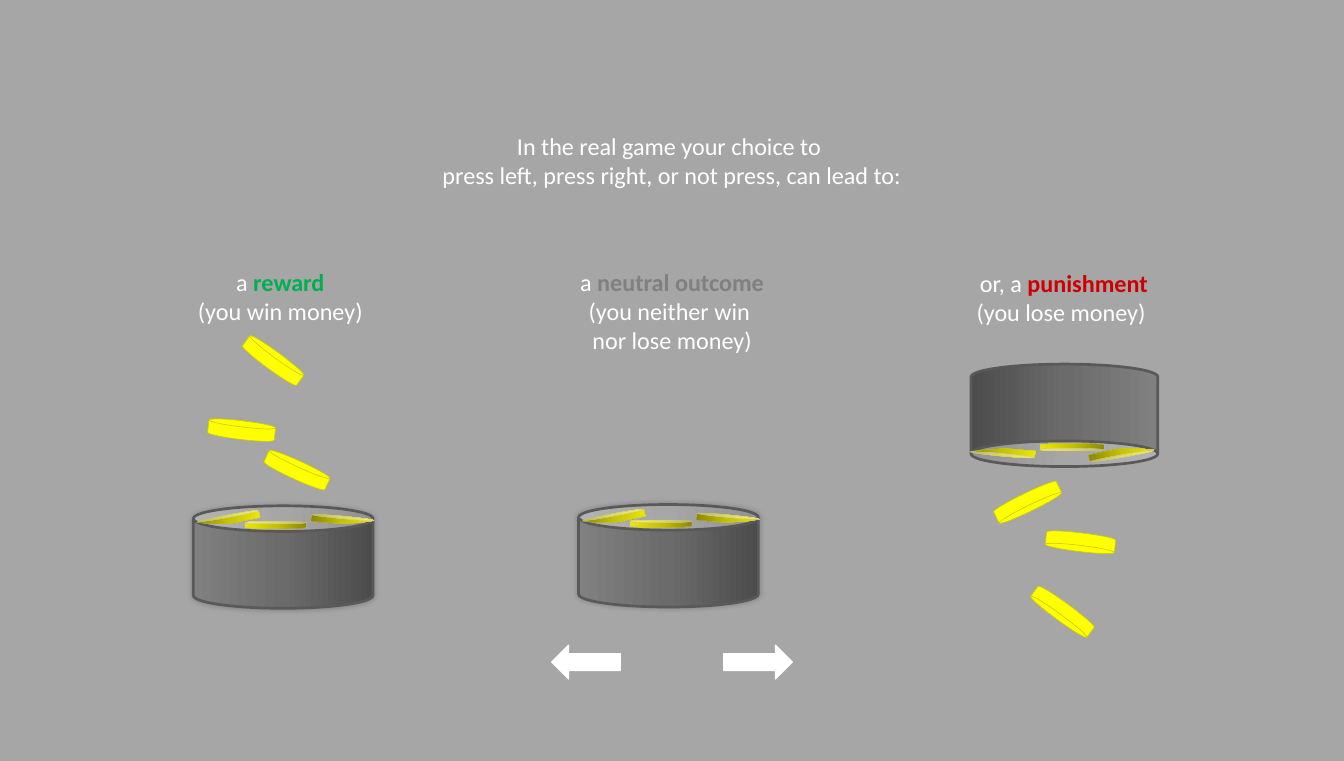
from math import cos, pi, radians, sin
from lxml.etree import SubElement as sub
from pptx import Presentation
from pptx.dml.color import RGBColor as RGB
from pptx.enum.shapes import MSO_SHAPE as Kind
from pptx.enum.text import MSO_ANCHOR as Anchor, PP_ALIGN as Align
from pptx.oxml.ns import qn
from pptx.util import Inches, Pt

theme = {
    "font": "Calibri", "size": 27,
    "back": "A6A6A6", "text": "FFFFFF", "arrow": "FFFFFF",
    "win": "00B050", "even": "808080", "loss": "CC0000",
    "bowl": ["4C4C4C", "6B6B6B", "808080"], "rim": "595959",
    "side": ["8B8800", "C6C200", "EBE600"],
    "lid": ["B9B866", "DDDA66", "F3F066"], "edge": "C4BD97",
    "coin": "FFFF00", "ring": "CCCC00",
}

deck = Presentation()
deck.slide_width, deck.slide_height = Inches(20.86), Inches(11.81)
slide = deck.slides.add_slide(deck.slide_layouts[6])
slide.background.fill.solid()
slide.background.fill.fore_color.rgb = RGB.from_string(theme["back"])
shapes = slide.shapes


def write(place, lines, anchor=Anchor.TOP):
    frame = shapes.add_textbox(*map(Inches, place)).text_frame
    frame.word_wrap = True
    frame.vertical_anchor = anchor
    frame.margin_left = frame.margin_right = Inches(0.19)
    frame.margin_top = frame.margin_bottom = Inches(0.09)
    for row, line in enumerate(lines):
        para = frame.add_paragraph() if row else frame.paragraphs[0]
        para.alignment = Align.CENTER
        para.font.name = theme["font"]
        para.font.size = Pt(theme["size"])
        para.font.color.rgb = RGB.from_string(theme["text"])
        for text, color in line:
            run = para.add_run()
            run.text = text
            if color:
                run.font.bold = True
                run.font.color.rgb = RGB.from_string(theme[color])


def paint(shape, fill, line, width, angle=0):
    shape.shadow.inherit = False
    shape.line.color.rgb = RGB.from_string(theme[line])
    shape.line.width = Pt(width)
    if isinstance(theme[fill], str):
        shape.fill.solid()
        shape.fill.fore_color.rgb = RGB.from_string(theme[fill])
        return
    shape.fill.gradient()
    shape.fill.gradient_angle = angle
    stops = shape._element.spPr.find(".//" + qn("a:gsLst"))
    stops.clear()
    for step, color in enumerate(theme[fill]):
        stop = sub(stops, qn("a:gs"), pos=str(step * 50000))
        sub(stop, qn("a:srgbClr"), val=color)


write((1.04, 1.5, 18.77, 1.97), [
    [("In the real game your choice to ", None)],
    [("press left, press right, or not press, can lead to:", None)],
], Anchor.MIDDLE)

write((2.09, 4.06, 4.52, 2.91), [
    [("a ", None), ("reward", "win")],
    [("(you win money)", None)],
])
write((8.17, 4.06, 4.52, 3.37), [
    [("a ", None), ("neutral outcome", "even")],
    [("(you neither win ", None)],
    [("nor lose money)", None)],
])
write((14.25, 4.08, 4.52, 3.37), [
    [("or, a ", None), ("punishment", "loss")],
    [("(you lose money) ", None)],
])

coins = [
    (0.54, 0.16, -10.4, 0,
     [(1.04, 0.18), (0.57, 0.28), (0.3, 0.28), (0.05, 0.26)]),
    (2.32, 0.18, 5.3, 0,
     [(2.81, 0.23), (2.6, 0.26), (2.27, 0.28), (1.82, 0.24)]),
    (1.28, 0.26, 0, 180,
     [(1.76, 0.34), (1.5, 0.36), (1.06, 0.36), (0.8, 0.34)]),
]
bowls = [(3, 7.85, 2.79, False), (15.07, 5.65, 2.9, True),
         (8.98, 7.83, 2.79, False)]
high = 1.59
for left, top, wide, turned in bowls:
    bowl = shapes.add_shape(
        Kind.CAN, *map(Inches, (left, top, wide, high)))
    paint(bowl, "bowl", "rim", 3, 180)
    if turned:
        bowl.rotation = 180
    else:
        glow = sub(bowl._element.spPr.find(qn("a:effectLst")),
                   qn("a:outerShdw"), blurRad=str(Pt(6)), dist="0",
                   dir="18900000", rotWithShape="0")
        tint = sub(glow, qn("a:srgbClr"), val="000000")
        sub(tint, qn("a:alpha"), val="20000")
    zoom = wide / 2.79
    for mid, drop, tilt, angle, base in coins:
        slope = radians(tilt)
        lid = []
        for step in range(24):
            turn = 2 * pi * step / 24
            along, over = 0.48 * cos(turn), 0.02 * sin(turn)
            lid.append((mid + along * cos(slope) - over * sin(slope),
                        drop + along * sin(slope) + over * cos(slope)))
        front = lid[12::-1]
        for fill, points in [("side", front + base), ("lid", lid)]:
            spots = []
            for x, y in points:
                x *= zoom
                if turned:
                    x, y = wide - x, high - y
                spots.append((Inches(left + x), Inches(top + y)))
            path = shapes.build_freeform(*spots[0], scale=1.0)
            path.add_line_segments(spots[1:], close=True)
            paint(path.convert_to_shape(), fill, "edge", 0.25, angle)

falls = [
    (3.72, 5.45, 1.04, 36.2), (3.23, 6.53, 1.04, 6.8),
    (4.09, 7.15, 1.04, 24.6), (15.95, 9.35, 1.08, 216.2),
    (16.23, 8.27, 1.08, 186.8), (15.41, 7.65, 1.08, 154.1),
]
for left, top, wide, turn in falls:
    coin = shapes.add_shape(Kind.FLOWCHART_MAGNETIC_DISK,
                            *map(Inches, (left, top, wide, 0.29)))
    coin.rotation = turn
    paint(coin, "coin", "ring", 0.75)

for left, turn in [(11.23, 0), (8.56, 180)]:
    arrow = shapes.add_shape(Kind.RIGHT_ARROW,
                             *map(Inches, (left, 10.01, 1.07, 0.53)))
    arrow.rotation = turn
    paint(arrow, "arrow", "arrow", 1)

deck.save("out.pptx")
